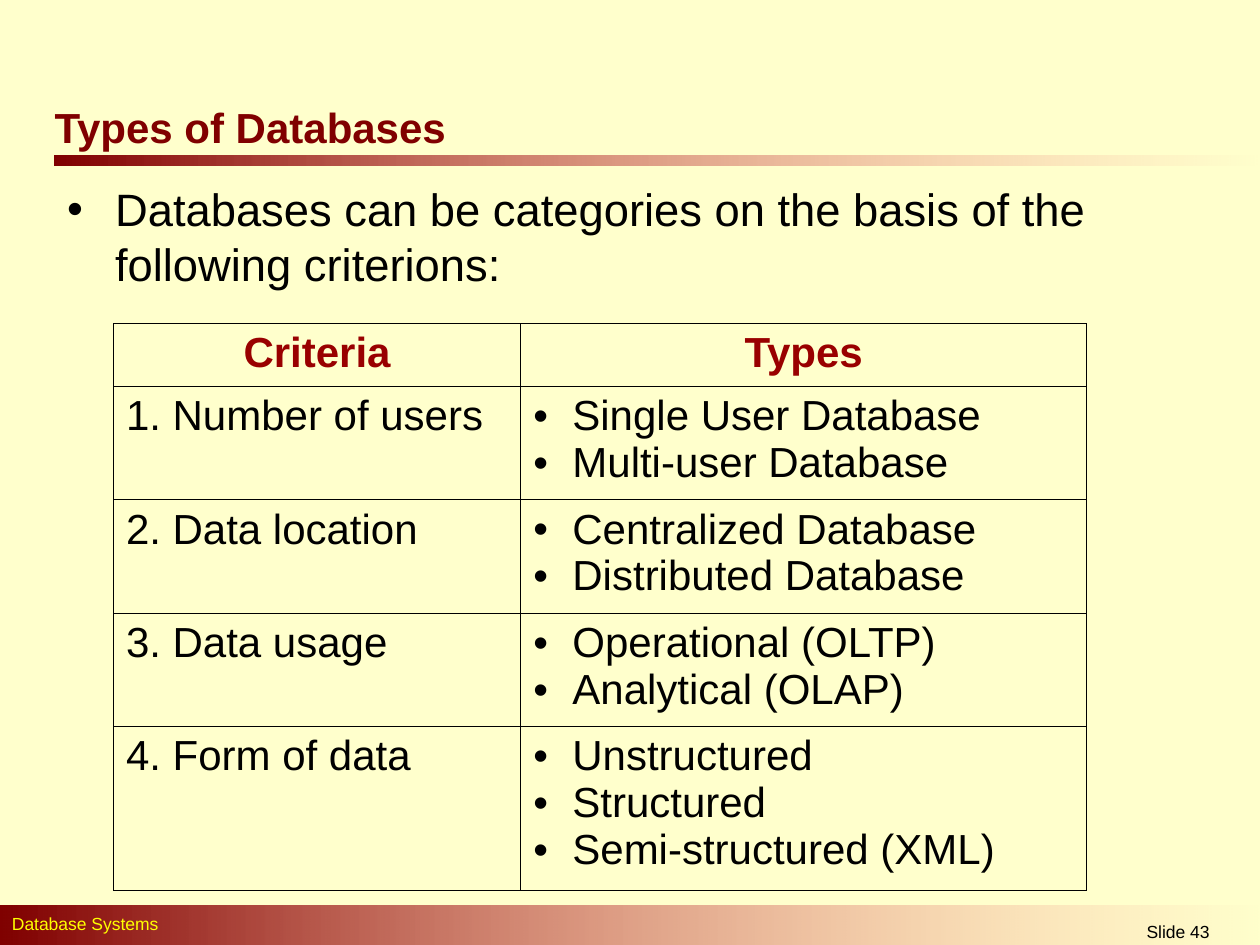
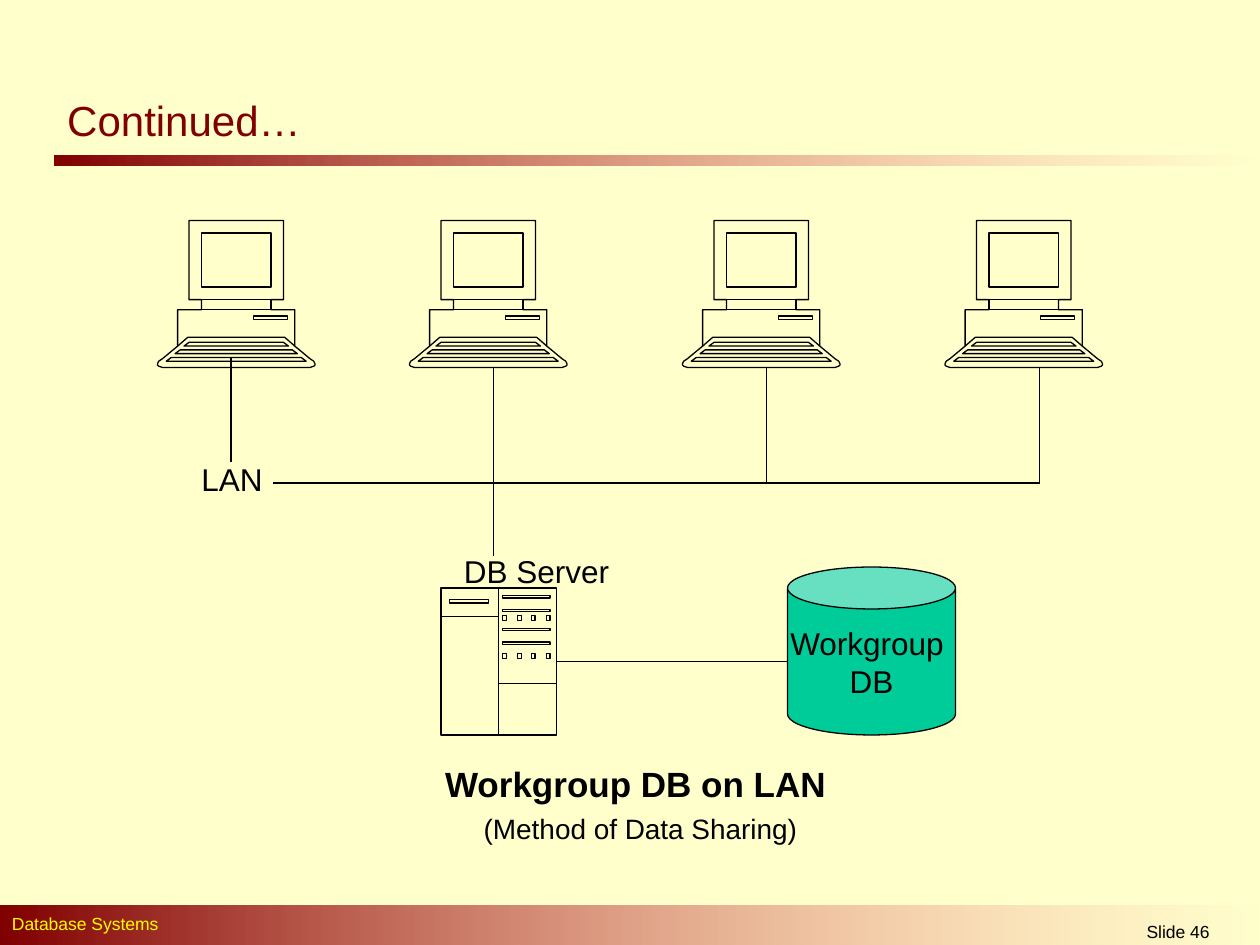
from lxml import etree
from pptx import Presentation
from pptx import util as u
from pptx.dml.color import RGBColor
from pptx.enum import shapes, text
from pptx.oxml.ns import qn

# The slide is a grid of 120 columns by 90 rows, one cell being 1/12 inch.
CELL = u.Inches(1) / 12
FONT = "Arial"
CREAM, MAROON, ROSE, YELLOW = "FFFFCC", "800000", "FF8585", "FFFF00"
BLACK, HEADING, GREEN = "000000", "990000", "00CC99"
LEFT, CENTER = text.PP_ALIGN.LEFT, text.PP_ALIGN.CENTER

CRITERIA = [
    ("1. Number of users", ["Single User Database", "Multi-user Database"]),
    ("2. Data location", ["Centralized Database", "Distributed Database"]),
    ("3. Data usage", ["Operational (OLTP)", "Analytical (OLAP)"]),
    ("4. Form of data", ["Unstructured", "Structured", "Semi-structured (XML)"]),
]


def color(value):
    return RGBColor.from_string(value)


def cells(*counts):
    """Turn counts of grid cells into EMU lengths."""
    return [u.Emu(round(count * CELL)) for count in counts]


def add_child(parent, tag, **attributes):
    return etree.SubElement(parent, qn(tag), attributes)


def set_bullet(paragraph, indent):
    """Hang a round bullet by indent inches, or remove it when indent is 0."""
    properties = paragraph._p.get_or_add_pPr()
    properties.set("marL", str(u.Inches(indent)))
    properties.set("indent", str(-u.Inches(indent)))
    if indent:
        add_child(add_child(properties, "a:buClr"), "a:srgbClr", val=BLACK)
        add_child(properties, "a:buFont", typeface=FONT)
        add_child(properties, "a:buChar", char="•")
    else:
        add_child(properties, "a:buNone")


def format_paragraph(paragraph, size, ink=BLACK, bold=False, align=LEFT, before=0):
    paragraph.alignment = align
    paragraph.space_before = u.Pt(before)
    for run in paragraph.runs:
        run.font.name = FONT
        run.font.size = u.Pt(size)
        run.font.bold = bold
        run.font.color.rgb = color(ink)


def set_outline(shape, fill):
    shape.shadow.inherit = False
    shape.fill.solid()
    shape.fill.fore_color.rgb = color(fill)
    shape.line.color.rgb = color(BLACK)
    shape.line.width = u.Pt(0.75)


def add_label(slide, box, words, size, **style):
    label = slide.shapes.add_textbox(*cells(*box))
    label.text_frame.word_wrap = True
    label.text_frame.text = words
    format_paragraph(label.text_frame.paragraphs[0], size, **style)
    return label


def add_line(slide, start, end):
    line = slide.shapes.add_connector(
        shapes.MSO_CONNECTOR.STRAIGHT, *cells(*start, *end))
    line.line.color.rgb = color(BLACK)
    line.line.width = u.Pt(0.75)
    add_child(line.element.spPr, "a:effectLst")


def add_fading_band(slide, box):
    band = slide.shapes.add_shape(shapes.MSO_SHAPE.RECTANGLE, *cells(*box))
    band.shadow.inherit = False
    band.line.fill.background()
    band.fill.gradient()
    band.fill.gradient_angle = 0
    for stop, value in zip(band.fill.gradient_stops, (MAROON, ROSE)):
        stop.color.rgb = color(value)
    last_color = list(band.element.iter(qn("a:srgbClr")))[-1]
    add_child(last_color, "a:alpha", val="0")
    return band


def build_master(master, slide):
    """Draw the shared parts on a slide and move them to its master."""
    master.background.fill.solid()
    master.background.fill.fore_color.rgb = color(CREAM)
    shared = [
        add_fading_band(slide, (5.2, 14.8, 114.8, 1)),
        add_fading_band(slide, (0, 86.2, 120.4, 4.2)),
        add_label(slide, (-0.5, 86.4, 77.5, 3.2), " Database Systems", 10,
                  ink=YELLOW, before=6.2),
    ]
    for number, shape in enumerate(shared, start=101):
        shape.element.nvSpPr.cNvPr.set("id", str(number))
        master.shapes.element.append(shape.element)


def place_placeholder(placeholder, box, lines):
    placeholder.left, placeholder.top, placeholder.width, placeholder.height = cells(*box)
    frame = placeholder.text_frame
    frame.text = "\n".join(lines)
    frame.auto_size = text.MSO_AUTO_SIZE.NONE
    return frame.paragraphs


def add_title(slide, box, words, bold):
    title, = place_placeholder(slide.shapes.title, box, [words])
    slide.shapes.title.text_frame.vertical_anchor = text.MSO_ANCHOR.MIDDLE
    format_paragraph(title, 24, MAROON, bold)


def add_slide_number(slide, number):
    add_label(slide, (99.7, 87.1, 25, 2.9), f"Slide {number}", 10, align=CENTER)


def style_cell(cell):
    properties = cell._tc.get_or_add_tcPr()
    for side in ("a:lnL", "a:lnR", "a:lnT", "a:lnB"):
        border = add_child(properties, side, w=str(u.Pt(0.45)))
        add_child(add_child(border, "a:solidFill"), "a:srgbClr", val=BLACK)
    cell.fill.background()


def add_criteria_table(slide, left, top):
    widths = cells(38.8, 53.9)
    heights = cells(6, *(10.8 if len(types) == 2 else 15.6 for _, types in CRITERIA))
    table = slide.shapes.add_table(
        len(heights), len(widths), *cells(left, top), sum(widths), sum(heights)).table
    table.first_row = table.horz_banding = False
    for column, width in zip(table.columns, widths):
        column.width = width
    for row, height in zip(table.rows, heights):
        row.height = height

    for index, (criterion, types) in enumerate([("Criteria", ["Types"])] + CRITERIA):
        is_header = index == 0
        for column, words in enumerate((criterion, "\n".join(types))):
            cell = table.cell(index, column)
            cell.text_frame.text = words
            style_cell(cell)
            for paragraph in cell.text_frame.paragraphs:
                if is_header:
                    format_paragraph(paragraph, 24, HEADING, True, CENTER)
                else:
                    format_paragraph(paragraph, 24)
                    if column == 1:
                        set_bullet(paragraph, 0.31)


def rectangle(left, top, right, bottom):
    return [(left, top), (right, top), (right, bottom), (left, bottom), (left, top)]


def mirrored(half, width, close=True):
    """Complete the left half of an outline with its reflection."""
    points = half + [(width - x, y) for x, y in reversed(half)]
    return points + points[:1] if close else points


def add_drawing(slide, box, units, contours):
    """Draw contours, given in a box of units, as one freeform filling the box."""
    left, top, width, height = cells(*box)
    scale = (width / units[0], height / units[1])
    builder = slide.shapes.build_freeform(*contours[0][0], scale=scale)
    builder.add_line_segments(contours[0][1:], close=False)
    for contour in contours[1:]:
        builder.move_to(*contour[0])
        builder.add_line_segments(contour[1:], close=False)
    set_outline(builder.convert_to_shape(left, top), CREAM)


def add_computer(slide, left, top):
    width, height = 125, 117
    body = [(25, 0), (25, 63), (35, 63), (35, 71), (16, 71), (16, 100), (4, 110),
            (1, 112), (0, 114), (0, 115), (1, 116), (4, 117)]
    key_rows = [mirrored([(25 - 7 * row, 97 + 6 * row), (21 - 7 * row, 100 + 6 * row)],
                         width) for row in range(3)]
    keyboard_edge = mirrored([(16, 100), (24, 93)], width, close=False)
    screen, neck = rectangle(35, 10, 90, 53), rectangle(35, 63, 90, 71)
    disk_slot = rectangle(76, 76, 103, 79)
    add_drawing(slide, (left, top, 15, 14), (width, height),
                [mirrored(body, width), *key_rows, keyboard_edge, screen, neck, disk_slot])


def add_server(slide, left, top):
    width, height = 92, 117
    middle = width // 2
    drives = [rectangle(49, y, 87, y + 2) for y in (6, 17, 32, 43)]
    lights = [rectangle(x, y, x + 3, y + 4) for y in (22, 52) for x in (49, 61, 72, 84)]
    panels = [[(0, 23), (middle, 23)], [(middle, 0), (middle, height)],
              [(middle, 76), (width, 76)]]
    add_drawing(slide, (left, top, 11, 14), (width, height),
                [rectangle(0, 0, width, height), rectangle(7, 9, 38, 12),
                 *panels, *drives, *lights])


def add_database(slide, left, top):
    database = slide.shapes.add_shape(shapes.MSO_SHAPE.CAN, *cells(left, top, 16, 16))
    database.adjustments[0] = 0.25
    set_outline(database, GREEN)
    frame = database.text_frame
    frame.word_wrap = False
    frame.vertical_anchor = text.MSO_ANCHOR.MIDDLE
    frame.text = "Workgroup \nDB"
    for paragraph in frame.paragraphs:
        format_paragraph(paragraph, 18, align=CENTER)


def add_network(slide, left, top):
    bus = top + 25
    for column in (0, 24, 50, 75):
        add_computer(slide, left + column, top)
    add_server(slide, left + 27, top + 35)
    add_database(slide, left + 60, top + 33)
    add_label(slide, (left + 28, top + 31, 17, 4.8), "DB Server", 18, before=11.2)
    add_label(slide, (left + 3, top + 22.2, 9, 4.8), "LAN", 18, before=11.2)

    add_line(slide, (left + 11, bus), (left + 84, bus))
    add_line(slide, (left + 7, top + 13), (left + 7, bus - 2))
    for column in (32, 58, 84):
        add_line(slide, (left + column, top + 14), (left + column, bus))
    add_line(slide, (left + 32, bus), (left + 32, bus + 7))
    add_line(slide, (left + 38, top + 42), (left + 60, top + 42))


def build_types_slide(slide):
    add_title(slide, (4, 9.1, 45.6, 6), "Types of Databases", bold=True)
    intro, = place_placeholder(
        slide.placeholders[1], (5.2, 16.7, 105.8, 12.2),
        ["Databases can be categories on the basis of the following criterions:"])
    format_paragraph(intro, 25.9, before=7)
    set_bullet(intro, 0.38)
    add_criteria_table(slide, 10.8, 30.8)
    add_slide_number(slide, 43)


def build_network_slide(slide):
    add_title(slide, (5.2, 8.2, 27.7, 6.4), "Continued…", bold=False)
    caption, note = place_placeholder(
        slide.placeholders[1], (7, 72, 108, 14),
        ["Workgroup DB on LAN ", "(Method of Data Sharing)"])
    format_paragraph(caption, 20, bold=True, align=CENTER, before=5)
    format_paragraph(note, 16, align=CENTER, before=4)
    for paragraph in (caption, note):
        set_bullet(paragraph, 0)
    add_network(slide, 15, 21)
    add_slide_number(slide, 46)


def main():
    presentation = Presentation()
    presentation.slide_width, presentation.slide_height = cells(120, 90)
    layout = presentation.slide_layouts[1]
    types_slide, network_slide = (presentation.slides.add_slide(layout) for _ in range(2))
    build_master(presentation.slide_master, types_slide)
    build_types_slide(types_slide)
    build_network_slide(network_slide)
    presentation.save("out.pptx")


if __name__ == "__main__":
    main()
